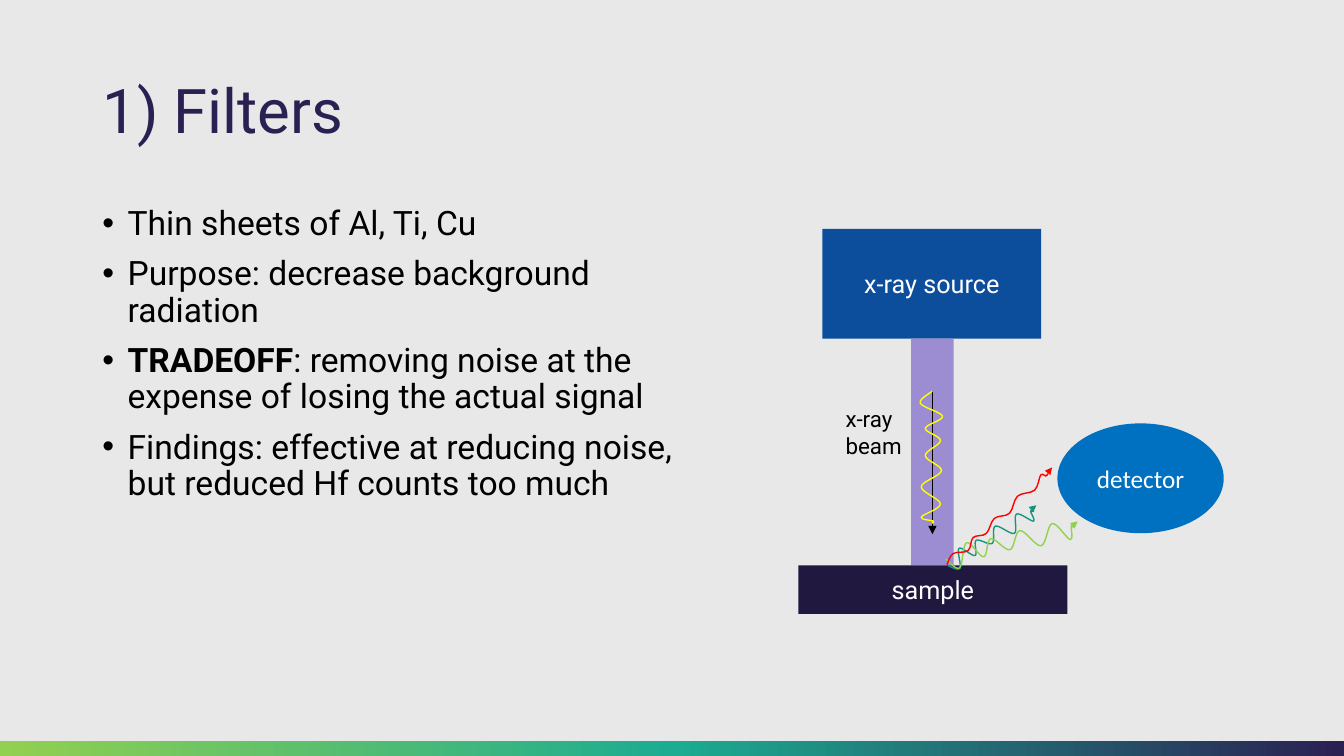
import math
from copy import deepcopy

from lxml import etree
from pptx import Presentation
from pptx.dml.color import RGBColor
from pptx.enum import shapes, text
from pptx.oxml.ns import qn
from pptx.util import Inches, Pt

BACKGROUND = RGBColor(0xE8, 0xE8, 0xE8)
PURPLE = RGBColor(0x2B, 0x20, 0x52)
MINT = RGBColor(0x1C, 0xAC, 0x91)
LIME = RGBColor(0x92, 0xD0, 0x50)
TEAL = RGBColor(0x18, 0x94, 0x7D)
RED = RGBColor(0xFF, 0, 0)
YELLOW = RGBColor(0xFF, 0xFF, 0)
SOURCE_BLUE = RGBColor(0x0C, 0x4D, 0x9C)
DETECTOR_BLUE = RGBColor(0, 0x70, 0xC0)
BEAM_LILAC = RGBColor(0x9C, 0x8D, 0xD3)
SAMPLE_NAVY = RGBColor(0x20, 0x18, 0x3E)
WHITE = RGBColor(0xFF, 0xFF, 0xFF)
BLACK = RGBColor(0, 0, 0)

SLIDE_HEIGHT = 7.5
SLIDE_WIDTH = SLIDE_HEIGHT * 16 / 9
MARGIN = 11 / 12

# Content: each bullet is a list of (text, bold) runs
TITLE = "1) Filters"
BULLETS = [
    [("Thin sheets of Al, Ti, Cu", False)],
    [("Purpose: decrease background radiation", False)],
    [("TRADEOFF", True),
     (": removing noise at the expense of losing the actual signal", False)],
    [("Findings: effective at reducing noise, but reduced Hf counts too much", False)],
]
RECTANGLE = shapes.MSO_SHAPE.RECTANGLE
OVAL = shapes.MSO_SHAPE.OVAL
# kind, (left, top, width, height), fill, label, font
SOURCE = (RECTANGLE, (8.16, 2.27, 2.17, 1.09), SOURCE_BLUE, "x-ray source", "Roboto")
BEAM = (RECTANGLE, (9.04, 3.36, 0.42, 2.25), BEAM_LILAC, "", "Roboto")
DETECTOR = (OVAL, (10.49, 4.2, 1.65, 1.09), DETECTOR_BLUE, "detector", "Calibri")
SAMPLE = (RECTANGLE, (7.92, 5.61, 2.67, 0.48), SAMPLE_NAVY, "sample", "Roboto")
# Crests and troughs that each wave runs through
TEAL_WAVE = [(9.39, 5.6), (9.51, 5.63), (9.5, 5.43), (9.66, 5.5), (9.67, 5.35),
             (9.83, 5.38), (9.86, 5.21), (10.05, 5.28), (10.07, 5.09),
             (10.24, 5.16), (10.21, 5.06), (10.24, 5.06), (10.22, 5.06)]
LIME_WAVE = [(9.38, 5.54), (9.52, 5.63), (9.59, 5.38), (9.76, 5.52), (9.83, 5.34),
             (10.02, 5.45), (10.12, 5.26), (10.33, 5.41), (10.44, 5.19),
             (10.62, 5.35), (10.63, 5.21), (10.66, 5.22), (10.63, 5.22)]
RED_WAVE = [(9.39, 5.6), (9.45, 5.49), (9.6, 5.46), (9.65, 5.33), (9.78, 5.29),
            (9.86, 5.14), (10.01, 5.09), (10.09, 4.92), (10.26, 4.86),
            (10.32, 4.71), (10.37, 4.72), (10.39, 4.7), (10.37, 4.72)]
BEAM_WAVE = [(9.25, 3.88), (9.13, 4), (9.35, 4.13), (9.18, 4.25), (9.33, 4.37),
             (9.18, 4.52), (9.34, 4.67), (9.14, 4.83), (9.33, 5), (9.14, 5.13),
             (9.26, 5.17), (9.25, 5.19), (9.26, 5.17)]
# points, colour, rotation, centre of rotation
SCATTERED_WAVES = [
    (TEAL_WAVE, TEAL, 237.4, (9.82, 5.34)),
    (LIME_WAVE, LIME, 256, (10.02, 5.39)),
    (RED_WAVE, RED, 228, (9.89, 5.15)),
]
# left, top, rotation, colour
WAVE_HEADS = [(10.38, 4.63, 38.9, RED), (10.22, 5, 50.8, TEAL), (10.63, 5.16, 50.8, LIME)]
HEAD_SIZE = 0.07


def style_runs(paragraph, size, colour, font="Roboto"):
    for run in paragraph.runs:
        run.font.size = Pt(size)
        run.font.name = font
        run.font.color.rgb = colour


def place(shape, box):
    shape.left, shape.top, shape.width, shape.height = map(Inches, box)


def add_solid(slide, kind, box, colour):
    shape = slide.shapes.add_shape(kind, *map(Inches, box))
    shape.shadow.inherit = False
    shape.fill.solid()
    shape.fill.fore_color.rgb = colour
    shape.line.fill.background()
    return shape


def add_part(slide, kind, box, colour, label, font):
    part = add_solid(slide, kind, box, colour)
    if label:
        part.text_frame.text = label
        part.text_frame.vertical_anchor = text.MSO_ANCHOR.MIDDLE
        paragraph = part.text_frame.paragraphs[0]
        paragraph.alignment = text.PP_ALIGN.CENTER
        style_runs(paragraph, 18, WHITE, font)


def turn_back(point, centre, rotation):
    """Place a point as it lies before the shape is rotated."""
    angle = math.radians(-rotation)
    x, y = point[0] - centre[0], point[1] - centre[1]
    return (centre[0] + x * math.cos(angle) - y * math.sin(angle),
            centre[1] + x * math.sin(angle) + y * math.cos(angle))


def round_corners(wave):
    """Turn the straight segments into Catmull-Rom curves."""
    nodes = list(wave._element.spPr.iter(qn("a:pt")))
    points = [(int(node.get("x")), int(node.get("y"))) for node in nodes]
    padded = [points[0], *points, points[-1]]
    for index, node in enumerate(nodes[1:]):
        before, start, end, after = padded[index:index + 4]
        segment = node.getparent()
        curve = etree.Element(qn("a:cubicBezTo"))
        first = [s + (e - b) / 6 for b, s, e in zip(before, start, end)]
        second = [e - (a - s) / 6 for s, e, a in zip(start, end, after)]
        for x, y in (first, second, end):
            etree.SubElement(curve, qn("a:pt"), x=str(round(x)), y=str(round(y)))
        segment.getparent().replace(segment, curve)


def add_wave(slide, points, colour, rotation=0, centre=(0, 0)):
    level = [tuple(map(Inches, turn_back(point, centre, rotation))) for point in points]
    builder = slide.shapes.build_freeform(*level[0])
    builder.add_line_segments(level[1:], close=False)
    wave = builder.convert_to_shape()
    round_corners(wave)
    wave.rotation = rotation
    wave.shadow.inherit = False
    wave.fill.background()
    wave.line.color.rgb = colour
    wave.line.width = Pt(1)


def add_text(slide):
    title = slide.shapes.title
    place(title, (MARGIN, 0.4, 11.5, 1.45))
    title.text_frame.text = TITLE
    title.text_frame.vertical_anchor = text.MSO_ANCHOR.MIDDLE
    heading = title.text_frame.paragraphs[0]
    heading.alignment = text.PP_ALIGN.LEFT
    heading.line_spacing = 0.9
    style_runs(heading, 44, PURPLE)

    body = slide.placeholders[1]
    place(body, (MARGIN, 2, 6.34, 4.76))
    frame = body.text_frame
    frame.auto_size = text.MSO_AUTO_SIZE.NONE
    for index, runs in enumerate(BULLETS):
        paragraph = frame.paragraphs[0] if index == 0 else frame.add_paragraph()
        properties = paragraph._p.get_or_add_pPr()
        properties.set("marL", str(Inches(0.25)))
        properties.set("indent", str(-Inches(0.25)))
        paragraph.line_spacing = 0.9
        paragraph.space_before = Pt(10 if index else 0)
        for words, bold in runs:
            run = paragraph.add_run()
            run.text = words
            run.font.bold = bold
        style_runs(paragraph, 24, BLACK)


def add_footer_band(slide):
    band = add_solid(slide, RECTANGLE, (0, 7.35, SLIDE_WIDTH, 0.15), LIME)
    band.fill.gradient()
    band.fill.gradient_angle = 0
    stop_list = band._element.spPr.find(".//" + qn("a:gsLst"))
    stop_list.append(deepcopy(stop_list[0]))
    for stop, position, colour in zip(band.fill.gradient_stops, (0, 0.5, 1),
                                      (LIME, MINT, PURPLE)):
        stop.position = position
        stop.color.rgb = colour


def add_diagram(slide):
    # Source, beam and beam label
    add_part(slide, *SOURCE)
    add_part(slide, *BEAM)
    label_box = slide.shapes.add_textbox(*map(Inches, (8.29, 3.97, 1.03, 0.64)))
    label_box.text_frame.word_wrap = True
    label_box.text_frame.text = "x-ray beam"
    style_runs(label_box.text_frame.paragraphs[0], 16, BLACK)
    add_part(slide, *DETECTOR)
    add_part(slide, *SAMPLE)

    # Scattered waves and their heads
    for wave in SCATTERED_WAVES:
        add_wave(slide, *wave)
    for left, top, rotation, colour in WAVE_HEADS:
        head = add_solid(slide, shapes.MSO_SHAPE.ISOSCELES_TRIANGLE,
                         (left, top, HEAD_SIZE, HEAD_SIZE), colour)
        head.rotation = rotation

    # Beam arrow and wave
    arrow = slide.shapes.add_connector(shapes.MSO_CONNECTOR.STRAIGHT,
                                       *map(Inches, (9.25, 3.88, 9.25, 5.3)))
    arrow.line.color.rgb = BLACK
    arrow.line.width = Pt(0.5)
    etree.SubElement(arrow.line._get_or_add_ln(), qn("a:tailEnd"), type="triangle")
    etree.SubElement(arrow._element.spPr, qn("a:effectLst"))
    add_wave(slide, BEAM_WAVE, YELLOW)


presentation = Presentation()
presentation.slide_width = Inches(SLIDE_WIDTH)
presentation.slide_height = Inches(SLIDE_HEIGHT)
slide = presentation.slides.add_slide(presentation.slide_layouts[1])
slide.background.fill.solid()
slide.background.fill.fore_color.rgb = BACKGROUND
add_text(slide)
add_footer_band(slide)
add_diagram(slide)
presentation.save("out.pptx")
